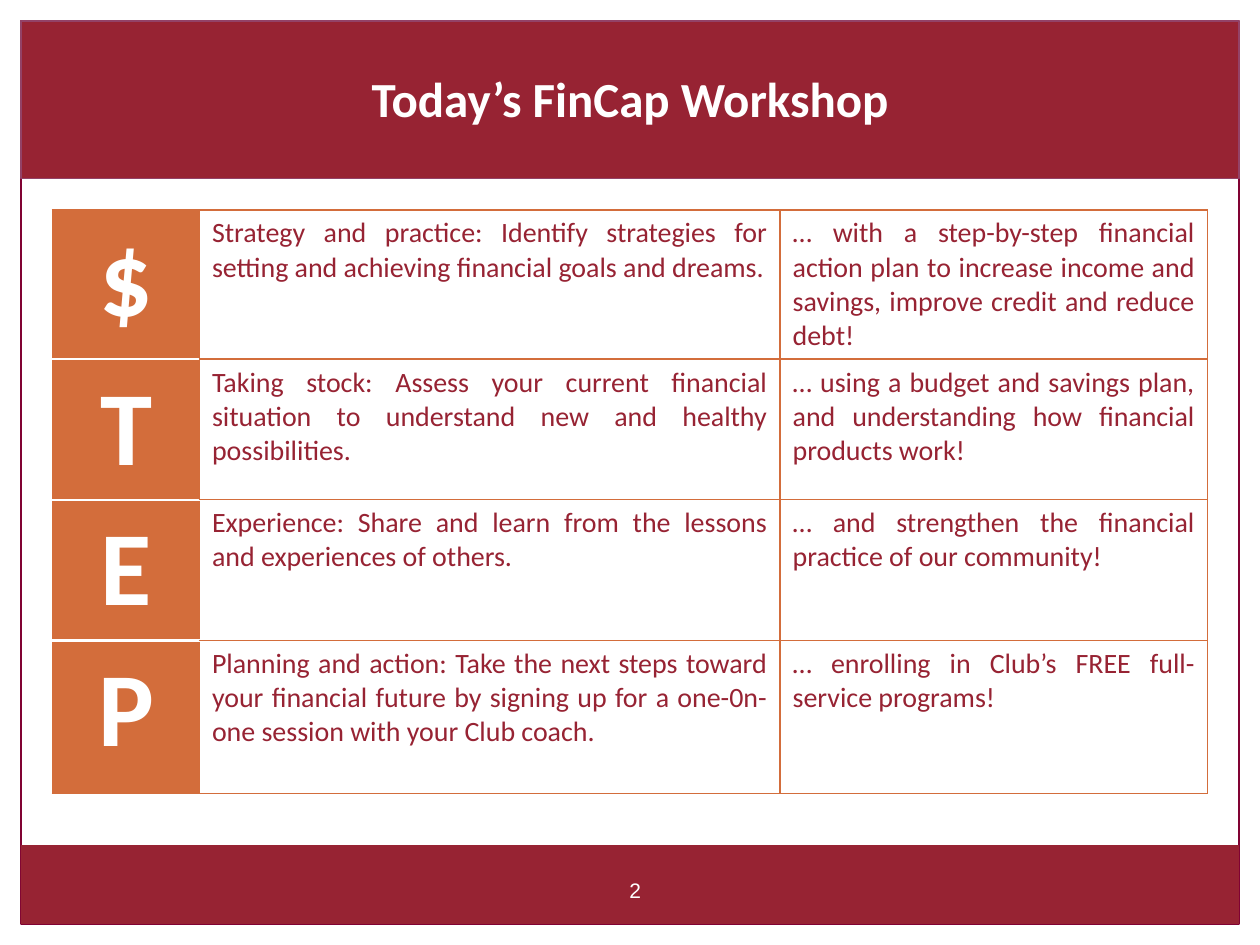
from lxml.etree import SubElement
from pptx import Presentation
from pptx.dml.color import RGBColor
from pptx.enum.shapes import MSO_SHAPE as Shape
from pptx.enum.text import MSO_ANCHOR as Anchor, PP_ALIGN as Align
from pptx.oxml.ns import qn
from pptx.util import Inches, Pt

WHITE = RGBColor(0xFF, 0xFF, 0xFF)
CRIMSON = RGBColor(0x97, 0x23, 0x33)
PLUM = RGBColor(0x80, 0x02, 0x33)
MAUVE = RGBColor(0x93, 0x42, 0x67)
ORANGE = RGBColor(0xD3, 0x6D, 0x3B)

COLUMNS, ROWS = 60, 45
UNIT = Inches(10) / COLUMNS

STEPS = [
    ("$", "Strategy and practice: Identify strategies for setting and achieving "
          "financial goals and dreams.",
     "… with a step-by-step financial action plan to increase income and savings, "
     "improve credit and reduce debt!"),
    ("T", "Taking stock: Assess your current financial situation to understand new "
          "and healthy possibilities.",
     "… using a budget and savings plan, and understanding how financial products work!"),
    ("E", "Experience: Share and learn from the lessons and experiences of others.",
     "… and strengthen the financial practice of our community!"),
    ("P", "Planning and action: Take the next steps toward your financial future by "
          "signing up for a one-0n-one session with your Club coach.",
     "… enrolling in Club’s FREE full-service programs!"),
]


def grid(*lengths):
    """Turn grid units into slide lengths."""
    return [round(length * UNIT) for length in lengths]


def write(frame, text, size=16, color=CRIMSON, bold=False, font="Calibri",
          align=Align.CENTER, anchor=Anchor.TOP):
    frame.word_wrap = True
    frame.vertical_anchor = anchor
    paragraph = frame.paragraphs[0]
    paragraph.alignment = align
    run = paragraph.add_run()
    run.text = text
    run.font.name, run.font.size, run.font.bold = font, Pt(size), bold
    run.font.color.rgb = color


def set_borders(cell, **edges):
    """Draw the edges left, right, top and bottom, each given as (color, points)."""
    properties = cell._tc.get_or_add_tcPr()
    tags = {"left": "a:lnL", "right": "a:lnR", "top": "a:lnT", "bottom": "a:lnB"}
    for edge, tag in tags.items():
        color, points = edges[edge]
        line = SubElement(properties, qn(tag), w=str(Pt(points)))
        fill = SubElement(line, qn("a:solidFill"))
        SubElement(fill, qn("a:srgbClr"), val=str(color))


class SlideBuilder:
    def __init__(self, presentation):
        self.slide = presentation.slides.add_slide(presentation.slide_layouts[6])
        self.shapes = self.slide.shapes

    def rectangle(self, *place, fill=None, line=None):
        shape = self.shapes.add_shape(Shape.RECTANGLE, *grid(*place))
        shape.shadow.inherit = False
        if fill is None:
            shape.fill.background()
        else:
            shape.fill.solid()
            shape.fill.fore_color.rgb = fill
        if line is None:
            shape.line.fill.background()
        else:
            shape.line.color.rgb = line
            shape.line.width = Pt(0.75)

    def text(self, text, *place, **style):
        write(self.shapes.add_textbox(*grid(*place)).text_frame, text, **style)

    def step_table(self, left, top, widths, heights):
        place = grid(left, top, sum(widths), sum(heights))
        table = self.shapes.add_table(len(heights), len(widths), *place).table
        table.first_row = table.horz_banding = False
        for column, width in zip(table.columns, grid(*widths)):
            column.width = width
        for row, height in zip(table.rows, grid(*heights)):
            row.height = height
        outer, divider = (ORANGE, 1), (WHITE, 1.5)
        last = len(STEPS) - 1
        for i, step in enumerate(STEPS):
            for j, text in enumerate(step):
                cell = table.cell(i, j)
                is_letter = j == 0
                inner = divider if is_letter else outer
                set_borders(cell, left=outer, right=outer,
                            top=inner if i > 0 else outer,
                            bottom=inner if i < last else outer)
                cell.fill.solid()
                cell.fill.fore_color.rgb = ORANGE if is_letter else WHITE
                if is_letter:
                    write(cell.text_frame, text, size=60, color=WHITE, bold=True)
                else:
                    write(cell.text_frame, text, align=Align.JUSTIFY)


def main():
    presentation = Presentation()
    presentation.slide_width, presentation.slide_height = grid(COLUMNS, ROWS)
    builder = SlideBuilder(presentation)
    for left in (0, COLUMNS - 1):
        builder.rectangle(left, 0, 1, ROWS, fill=WHITE)
    builder.rectangle(1, 1, 58, 43, line=PLUM)
    builder.rectangle(1, 1, 58, 7.5, fill=CRIMSON, line=MAUVE)
    builder.rectangle(1, 40.25, 58, 3.75, fill=CRIMSON)
    builder.text("2", 26.5, 41.5, 7.5, 1.8, size=12, color=WHITE, font="Arial")
    builder.text("Today’s FinCap Workshop", 3, 1.8, 54, 5.7, size=28, color=WHITE,
                 bold=True, anchor=Anchor.MIDDLE)
    builder.step_table(2.5, 10, widths=(7, 27.65, 20.35), heights=(7.1, 6.7, 6.7, 7.3))
    presentation.save("out.pptx")


if __name__ == "__main__":
    main()
